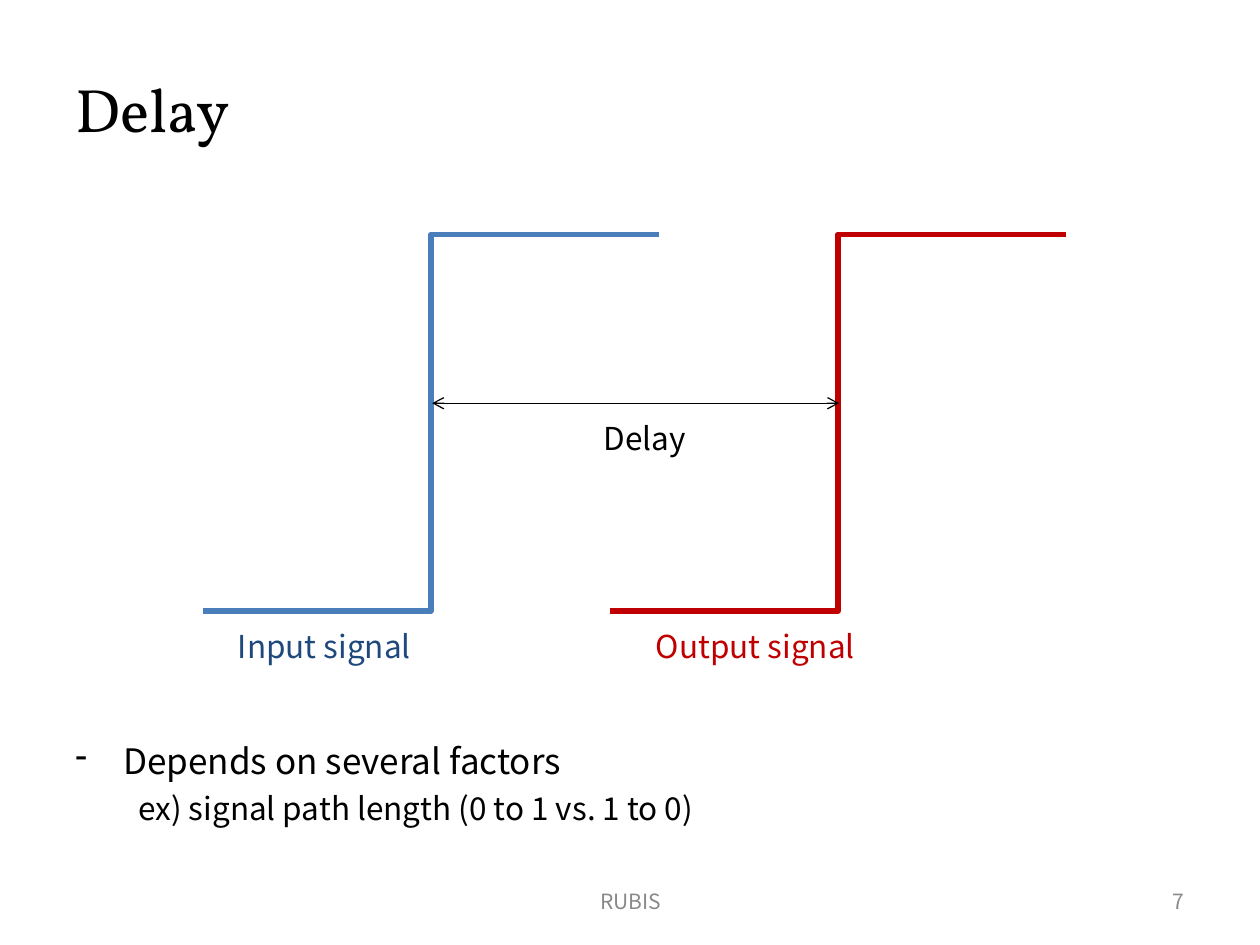
from pptx import Presentation
from pptx.dml.color import RGBColor
from pptx.enum.shapes import MSO_CONNECTOR, MSO_SHAPE
from pptx.enum.text import MSO_ANCHOR, PP_ALIGN
from pptx.oxml.ns import qn
from pptx.util import Inches, Pt
from lxml import etree

ELBOW, STRAIGHT = MSO_CONNECTOR.ELBOW, MSO_CONNECTOR.STRAIGHT
RECTANGLE = MSO_SHAPE.RECTANGLE
TOP, MIDDLE = MSO_ANCHOR.TOP, MSO_ANCHOR.MIDDLE
LEFT, CENTER, RIGHT = PP_ALIGN.LEFT, PP_ALIGN.CENTER, PP_ALIGN.RIGHT

BLACK = RGBColor(0x00, 0x00, 0x00)
WHITE = RGBColor(0xFF, 0xFF, 0xFF)
GRAY = RGBColor(0x89, 0x89, 0x89)
BLUE = RGBColor(0x4A, 0x7E, 0xBB)
NAVY = RGBColor(0x1F, 0x49, 0x7D)
RED = RGBColor(0xC0, 0x00, 0x00)

SERIF = "Vollkorn"
SANS = "Noto Sans CJK KR"


def write_text(para, text, size=18, color=BLACK, font=SANS, align=LEFT,
               margin=0, indent=0, before=0, bullet=None):
    properties = para._p.get_or_add_pPr()
    properties.set("marL", str(Inches(margin)))
    properties.set("indent", str(Inches(indent)))
    if bullet:
        etree.SubElement(properties, qn("a:buChar"), char=bullet)
    else:
        etree.SubElement(properties, qn("a:buNone"))
    para.alignment = align
    para.space_before = Pt(before)
    span = para.add_run()
    span.text = text
    span.font.name = font
    span.font.size = Pt(size)
    span.font.color.rgb = color


class SlideBuilder:
    def __init__(self, deck):
        self.slide = deck.slides.add_slide(deck.slide_layouts[6])
        self.label_size = Inches(1.97), Inches(0.39)

    def text(self, left, top, width, height, paragraphs, anchor=MIDDLE):
        box = self.slide.shapes.add_textbox(
            Inches(left), Inches(top), Inches(width), Inches(height))
        frame = box.text_frame
        frame.word_wrap = True
        frame.vertical_anchor = anchor
        for index, (text, style) in enumerate(paragraphs):
            para = frame.add_paragraph() if index else frame.paragraphs[0]
            write_text(para, text, **style)

    def label(self, left, top, text, color):
        box = self.slide.shapes.add_shape(
            RECTANGLE, Inches(left), Inches(top), *self.label_size)
        box.shadow.inherit = False
        box.fill.solid()
        box.fill.fore_color.rgb = WHITE
        box.line.fill.background()
        box.text_frame.vertical_anchor = MIDDLE
        write_text(box.text_frame.paragraphs[0], text, color=color, align=CENTER)

    def connector(self, kind, start, end, color, weight):
        line = self.slide.shapes.add_connector(
            kind, *(Inches(value) for value in (*start, *end)))
        line.line.color.rgb = color
        line.line.width = Pt(weight)
        etree.SubElement(line._element.spPr, qn("a:effectLst"))
        return line

    def signal(self, left, color):
        self.connector(ELBOW, (left, 4.85), (left + 3.62, 1.86), color, 3)

    def double_arrow(self, start, end):
        line = self.connector(STRAIGHT, start, end, BLACK, 0.75)
        outline = line.line._get_or_add_ln()
        for tag in ("a:headEnd", "a:tailEnd"):
            etree.SubElement(outline, qn(tag), type="arrow")


def main():
    deck = Presentation()
    deck.slide_width, deck.slide_height = Inches(10), Inches(7.5)
    page = SlideBuilder(deck)

    page.text(0.5, 0.3, 9, 1.11, [("Delay", dict(size=35, font=SERIF))])
    footer = dict(size=12, color=GRAY)
    page.text(3.42, 6.95, 3.17, 0.4, [("RUBIS", dict(footer, align=CENTER))])
    page.text(7.17, 6.95, 2.33, 0.4, [("7", dict(footer, align=RIGHT))])

    page.signal(1.61, BLUE)
    page.signal(4.84, RED)
    page.double_arrow((3.43, 3.2), (6.66, 3.2))

    page.label(1.59, 4.93, "Input signal", NAVY)
    page.label(5.01, 4.93, "Output signal", RED)
    page.label(4.13, 3.28, "Delay", BLACK)

    page.text(0.5, 5.82, 9, 0.92, [
        ("Depends on several factors",
         dict(size=20, margin=0.38, indent=-0.38, bullet="-")),
        ("ex) signal path length (0 to 1 vs. 1 to 0)",
         dict(margin=0.5, before=4.5)),
    ], anchor=TOP)

    deck.save("out.pptx")


if __name__ == "__main__":
    main()
